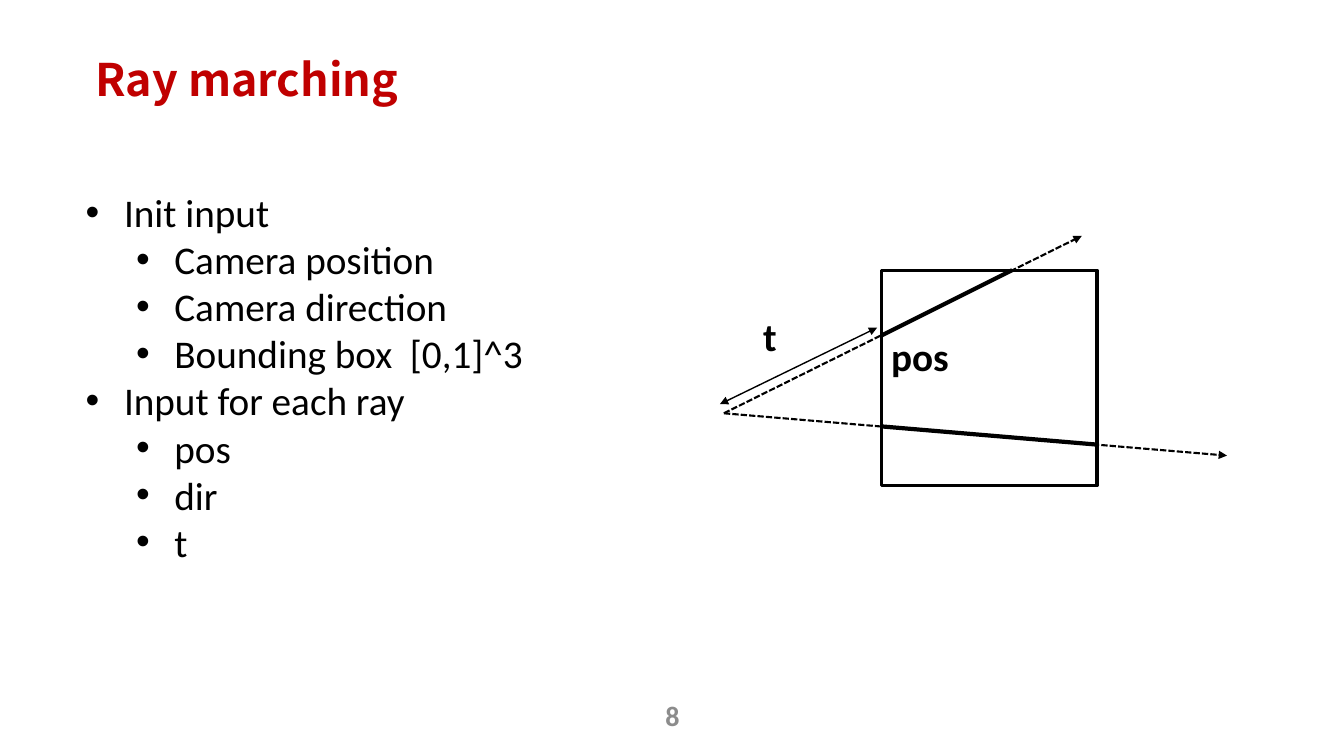
from dataclasses import dataclass

from lxml import etree
from pptx import Presentation
from pptx import util as u
from pptx.dml.color import RGBColor
from pptx.enum import dml, shapes, text
from pptx.oxml import ns

SCALE = 9144
BLACK = RGBColor(0x00, 0x00, 0x00)
WHITE = RGBColor(0xFF, 0xFF, 0xFF)
RED = RGBColor(0xC0, 0x00, 0x00)
GREY = RGBColor(0x8C, 0x8C, 0x8C)
INDENT = 38
STEP = 50


def px(size: int) -> u.Emu:
    return u.Emu(size * SCALE)


@dataclass(frozen=True)
class Item:
    words: str
    level: int = 0
    bullet: bool = False


@dataclass(frozen=True)
class Label:
    items: tuple[Item, ...]
    left: int
    top: int
    width: int
    height: int
    size: int = 28
    color: RGBColor = BLACK
    font: str = "Calibri"
    bold: bool = True
    inset: bool = True
    wrap: bool = True
    grow: bool = False
    middle: bool = False
    spacing: float = 1.0


@dataclass(frozen=True)
class Ray:
    start: tuple[int, int]
    end: tuple[int, int]
    weight: float
    dashed: bool = False
    head: bool = False
    tail: bool = False


TITLE = Label((Item("Ray marching"),), 85, 52, 1014, 81, size=32, color=RED,
              font="Noto Sans CJK SC", spacing=0.9)
NUMBER = Label((Item("8"),), 517, 690, 300, 40, size=20, color=GREY, middle=True)
GROUPS = {
    "Init input": ("Camera position", "Camera direction", "Bounding box  [0,1]^3"),
    "Input for each ray": ("pos", "dir", "t"),
}
LINES = tuple(
    Item(words, level, True)
    for name, parts in GROUPS.items()
    for level, words in [(0, name), *((1, part) for part in parts)]
)
BODY = Label(LINES, 85, 187, 499, 377, bold=False, inset=False, grow=True)
POS = Label((Item("pos"),), 874, 325, 85, 57, grow=True)
TIME = Label((Item("t"),), 747, 305, 85, 57, grow=True)

EYE = (718, 410)
RAYS = (
    Ray(EYE, (1073, 234), 1.5, dashed=True, tail=True),
    Ray(EYE, (1217, 452), 1.5, dashed=True, tail=True),
    Ray((874, 333), (1004, 268), 3),
    Ray((874, 423), (1087, 441), 3),
)
SPAN = Ray((714, 401), (870, 325), 1, head=True, tail=True)


def add_mark(para, level: int) -> None:
    para.level = level
    props = para._p.get_or_add_pPr()
    props.set("marL", str(px(INDENT + STEP * level)))
    props.set("indent", str(px(-INDENT)))
    etree.SubElement(props, ns.qn("a:buFont")).set("typeface", "Arial")
    etree.SubElement(props, ns.qn("a:buChar")).set("char", "•")


def add_label(slide, label: Label) -> None:
    box = slide.shapes.add_textbox(
        px(label.left), px(label.top), px(label.width), px(label.height))
    frame = box.text_frame
    frame.word_wrap = label.wrap
    if label.grow:
        frame.auto_size = text.MSO_AUTO_SIZE.SHAPE_TO_FIT_TEXT
    if label.middle:
        frame.vertical_anchor = text.MSO_ANCHOR.MIDDLE
    if not label.inset:
        frame.margin_left = frame.margin_right = 0
        frame.margin_top = frame.margin_bottom = 0
    for index, item in enumerate(label.items):
        para = frame.add_paragraph() if index else frame.paragraphs[0]
        if label.spacing != 1:
            para.line_spacing = label.spacing
        if label.middle:
            para.alignment = text.PP_ALIGN.CENTER
        if item.bullet:
            add_mark(para, item.level)
        run = para.add_run()
        run.text = item.words
        run.font.name = label.font
        run.font.size = u.Pt(label.size)
        run.font.bold = label.bold
        run.font.color.rgb = label.color


def add_ray(slide, ray: Ray) -> None:
    link = slide.shapes.add_connector(
        shapes.MSO_CONNECTOR.STRAIGHT, *map(px, ray.start + ray.end))
    link.line.color.rgb = BLACK
    link.line.width = u.Pt(ray.weight)
    if ray.dashed:
        link.line.dash_style = dml.MSO_LINE.SQUARE_DOT
    stroke = link.line._get_or_add_ln()
    for tag, shown in (("a:headEnd", ray.head), ("a:tailEnd", ray.tail)):
        if shown:
            etree.SubElement(stroke, ns.qn(tag)).set("type", "triangle")
    etree.SubElement(link._element.spPr, ns.qn("a:effectLst"))


def add_cube(slide) -> None:
    cube = slide.shapes.add_shape(
        shapes.MSO_SHAPE.RECTANGLE, px(874), px(268), px(214), px(214))
    cube.shadow.inherit = False
    cube.fill.solid()
    cube.fill.fore_color.rgb = WHITE
    cube.line.color.rgb = BLACK
    cube.line.width = u.Pt(2.25)


def main() -> None:
    deck = Presentation()
    deck.slide_width, deck.slide_height = px(1333), px(750)
    slide = deck.slides.add_slide(deck.slide_layouts[6])
    for label in (NUMBER, TITLE, BODY):
        add_label(slide, label)
    add_cube(slide)
    for ray in RAYS:
        add_ray(slide, ray)
    add_label(slide, POS)
    add_ray(slide, SPAN)
    add_label(slide, TIME)
    deck.save("out.pptx")


if __name__ == "__main__":
    main()
